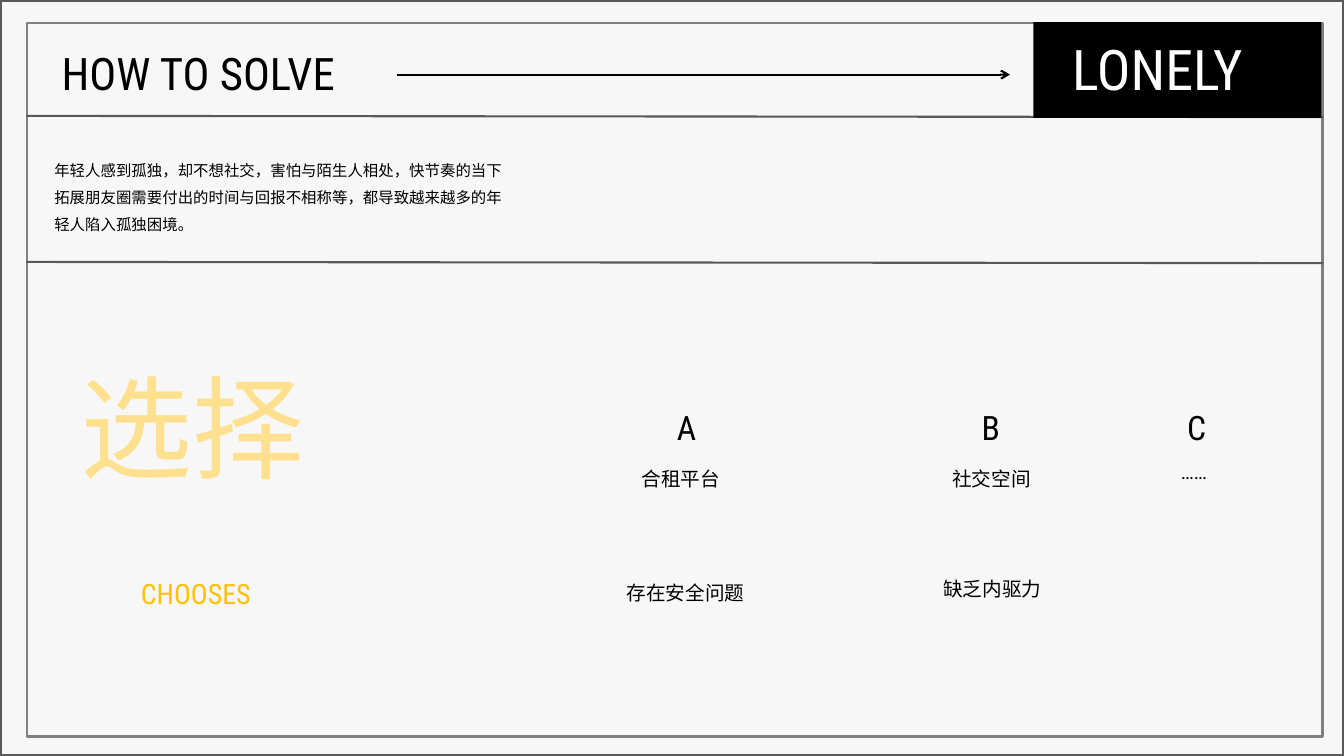
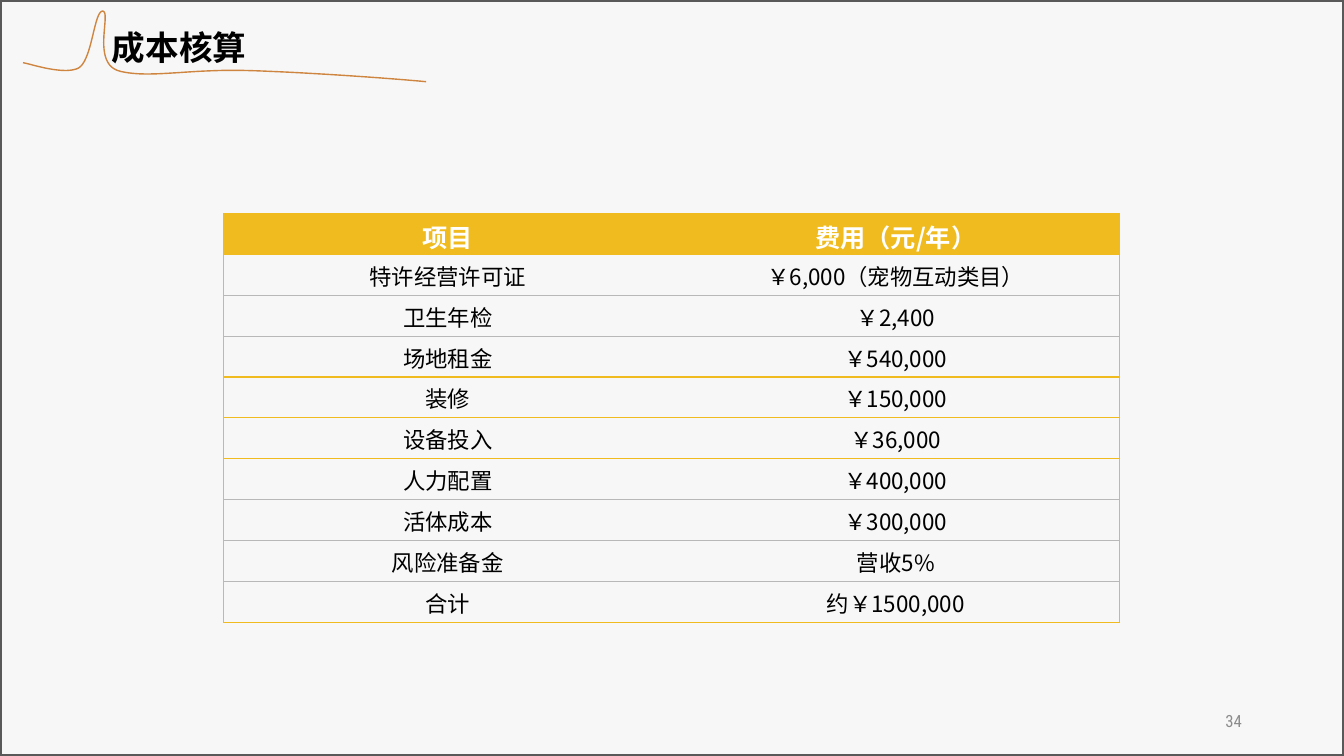
from dataclasses import dataclass

from lxml.etree import SubElement
from pptx import Presentation
from pptx.dml.color import RGBColor
from pptx.enum.shapes import MSO_CONNECTOR, MSO_SHAPE
from pptx.enum.text import MSO_ANCHOR, PP_ALIGN
from pptx.oxml.ns import qn
from pptx.util import Cm, Pt


@dataclass(frozen=True)
class Theme:
    # Colours
    paper: str = "F7F7F7"
    ink: str = "000000"
    white: str = "FFFFFF"
    edge: str = "595959"
    frame: str = "808080"
    grid: str = "B8B8B8"
    muted: str = "8C8C8C"
    accent: str = "FFC000"
    pale_accent: str = "FFE08F"
    gold: str = "EFBB1F"
    curve: str = "CE8540"
    # Fonts
    display: str = "Roboto Condensed"
    body: str = "Roboto"
    chinese: str = "Noto Sans CJK SC"
    # Type sizes
    giant: int = 80
    badge: int = 40
    banner: int = 32
    heading: int = 24
    label: int = 20
    table_head: int = 18
    table_body: int = 16
    option: int = 14
    page: int = 12
    note: int = 11


THEME = Theme()


@dataclass(frozen=True)
class Box:
    """A region in centimetres; inner boxes are placed relative to it."""
    left: float
    top: float
    width: float
    height: float

    def inner(self, left, top, width, height):
        return Box(self.left + left, self.top + top, width, height)

    def lengths(self):
        return Cm(self.left), Cm(self.top), Cm(self.width), Cm(self.height)


PAGE = Box(0, 0, 33.87, 19.05)


def rgb(color):
    return RGBColor.from_string(color)


def write(frame, text, *, size, font=THEME.display, color=THEME.ink,
          bold=False, align=PP_ALIGN.LEFT, spacing=None):
    """Put one formatted paragraph into a text frame."""
    paragraph = frame.paragraphs[0]
    paragraph.alignment = align
    if spacing:
        paragraph.line_spacing = spacing
    run = paragraph.add_run()
    run.text = text
    run.font.name = font
    run.font.size = Pt(size)
    run.font.bold = bold
    run.font.color.rgb = rgb(color)
    SubElement(run.font._element, qn("a:ea"), typeface=THEME.chinese)


def add_text(slide, box, text, anchor=MSO_ANCHOR.TOP, **style):
    frame = slide.shapes.add_textbox(*box.lengths()).text_frame
    frame.word_wrap = True
    frame.vertical_anchor = anchor
    write(frame, text, **style)


def add_rect(slide, box, fill=None, line=None, weight=1.5):
    rect = slide.shapes.add_shape(MSO_SHAPE.RECTANGLE, *box.lengths())
    rect.shadow.inherit = False
    if fill:
        rect.fill.solid()
        rect.fill.fore_color.rgb = rgb(fill)
    else:
        rect.fill.background()
    if line:
        rect.line.color.rgb = rgb(line)
        rect.line.width = Pt(weight)
    else:
        rect.line.fill.background()


def add_line(slide, start, end, color, arrow=False):
    line = slide.shapes.add_connector(
        MSO_CONNECTOR.STRAIGHT, *(Cm(value) for value in (*start, *end)))
    line.line.color.rgb = rgb(color)
    line.line.width = Pt(1.5)
    if arrow:
        SubElement(line.line._get_or_add_ln(), qn("a:tailEnd"), type="arrow")
    SubElement(line._element.spPr, qn("a:effectLst"))


def new_slide(deck):
    """Blank slide with the shared paper colour and outer edge."""
    slide = deck.slides.add_slide(deck.slide_layouts[6])
    slide.background.fill.solid()
    slide.background.fill.fore_color.rgb = rgb(THEME.paper)
    add_rect(slide, PAGE, line=THEME.edge, weight=2.25)
    return slide


# ---- Choices slide ----

def add_header(slide, box):
    add_text(slide, box.inner(-0.69, 0.44, 10, 1.63), "HOW TO SOLVE",
             size=THEME.banner, align=PP_ALIGN.CENTER)
    arrow_y = box.top + 1.3
    add_line(slide, (box.left + 9.32, arrow_y), (box.left + 24.76, arrow_y),
             THEME.ink, arrow=True)
    badge = box.inner(25.35, -0.02, 7.26, 2.41)
    add_rect(slide, badge, fill=THEME.ink)
    add_text(slide, badge.inner(0.73, 0.18, 6.38, 1.73), "LONELY",
             size=THEME.badge, color=THEME.white)


def add_divider(slide, box, offset):
    y = box.top + offset
    add_line(slide, (box.left - 0.03, y),
             (box.left + box.width + 0.02, y + 0.03), THEME.edge)


def add_choices_label(slide, box):
    add_text(slide, box.inner(0, 0, 8, 4), "选择", size=THEME.giant,
             font=THEME.body, color=THEME.pale_accent)
    add_text(slide, box.inner(1.53, 5.5, 3.38, 0.94), "CHOOSES",
             size=THEME.label, color=THEME.accent)


def add_option(slide, box, letter, name, name_at, drawback="",
               drawback_at=(0, 0)):
    """Letter at the box's corner; name and drawback offset from it."""
    add_text(slide, box.inner(0, 0, 1.09, 1.04), letter, size=THEME.heading)
    for text, offset in ((name, name_at), (drawback, drawback_at)):
        if text:
            add_text(slide, box.inner(*offset, 3.7, 1.22), text,
                     size=THEME.option, font=THEME.body, spacing=1.45)


def build_choices_slide(deck):
    slide = new_slide(deck)
    frame = Box(0.69, 0.58, 32.64, 17.98)
    add_rect(slide, frame, line=THEME.frame)
    for offset in (2.34, 6.02):
        add_divider(slide, frame, offset)
    add_header(slide, frame)
    add_text(
        slide, frame.inner(0.43, 3.15, 11.89, 2.62),
        "年轻人感到孤独，却不想社交，害怕与陌生人相处，快节奏的当下"
        "拓展朋友圈需要付出的时间与回报不相称等，都导致越来越多的年轻人陷入孤独困境。",
        size=THEME.note, font=THEME.body, spacing=1.45)
    add_choices_label(slide, frame.inner(1.08, 8.32, 8, 7))
    options = (
        (16.12, "A", "合租平台", (-0.89, 1.25), "存在安全问题", (-1.27, 4.12)),
        (23.8, "B", "社交空间", (-0.74, 1.25), "缺乏内驱力", (-0.97, 4.02)),
        (28.98, "C", "……", (-0.16, 1.07)),
    )
    for left, *content in options:
        add_option(slide, frame.inner(left, 9.55, 4, 6), *content)


# ---- Cost slide ----

def add_title_curve(slide, box):
    """Open flourish drawn from cubic curves, sampled into short segments."""
    start = (0, 1.3)
    curves = (
        ((0.25, 1.35), (0.99, 1.6), (1.37, 1.45)),
        ((1.75, 1.3), (1.78, 0), (2.01, 0)),
        ((2.24, 0.03), (1.7, 1.35), (2.46, 1.52)),
        ((3.23, 1.7), (4.19, 1.45), (5.72, 1.5)),
        ((7.26, 1.55), (9.32, 1.7), (10.16, 1.78)),
    )
    steps = 24
    points = [start]
    for bend_out, bend_in, end in curves:
        origin = points[-1]
        for step in range(1, steps + 1):
            t = step / steps
            u = 1 - t
            points.append(tuple(
                u**3 * a + 3 * u * u * t * b + 3 * u * t * t * c + t**3 * d
                for a, b, c, d in zip(origin, bend_out, bend_in, end)))
    points = [(Cm(box.left + x), Cm(box.top + y)) for x, y in points]
    builder = slide.shapes.build_freeform(*points[0])
    builder.add_line_segments(points[1:], close=False)
    curve = builder.convert_to_shape()
    curve.shadow.inherit = False
    curve.fill.background()
    curve.line.color.rgb = rgb(THEME.curve)
    curve.line.width = Pt(1)


def set_borders(cell, **colors):
    """Set cell borders, given as lnL, lnR, lnT and lnB in that order."""
    properties = cell._tc.get_or_add_tcPr()
    for position, (side, color) in enumerate(colors.items()):
        width = Pt(1) if color == THEME.gold else Pt(0.75)
        border = properties.makeelement(qn(f"a:{side}"), {"w": str(width)})
        if color:
            fill = SubElement(border, qn("a:solidFill"))
            SubElement(fill, qn("a:srgbClr"), val=color)
        else:
            SubElement(border, qn("a:noFill"))
        properties.insert(position, border)


def add_cost_table(slide, box):
    costs = (
        ("项目", "费用（元/年）"),
        ("特许经营许可证", "￥6,000（宠物互动类目）"),
        ("卫生年检", "￥2,400"),
        ("场地租金", "￥540,000"),
        ("装修", "￥150,000"),
        ("设备投入", "￥36,000"),
        ("人力配置", "￥400,000"),
        ("活体成本", "￥300,000"),
        ("风险准备金", "营收5%"),
        ("合计", "约￥1500,000"),
    )
    gold_rules = {0, 3, 4, 5, len(costs) - 1}
    rule_colors = [THEME.gold if index in gold_rules else THEME.grid
                   for index in range(len(costs))]
    table = slide.shapes.add_table(len(costs), 2, *box.lengths()).table
    for index, entry in enumerate(costs):
        is_head = index == 0
        for column, text in enumerate(entry):
            cell = table.cell(index, column)
            if is_head:
                cell.fill.solid()
                cell.fill.fore_color.rgb = rgb(THEME.gold)
            else:
                cell.fill.background()
            write(cell.text_frame, text, font=THEME.chinese, bold=is_head,
                  size=THEME.table_head if is_head else THEME.table_body,
                  color=THEME.white if is_head else THEME.ink,
                  align=PP_ALIGN.CENTER)
            outer_right = THEME.gold if is_head else THEME.grid
            set_borders(cell,
                        lnL=None if column else THEME.gold,
                        lnR=outer_right if column else None,
                        lnT=THEME.gold if is_head else rule_colors[index - 1],
                        lnB=rule_colors[index])


def build_cost_slide(deck):
    slide = new_slide(deck)
    title = Box(0.58, 0.28, 10.16, 1.78)
    add_text(slide, title.inner(1.99, 0.28, 8.15, 1.22), "成本核算",
             size=THEME.heading, bold=True, align=PP_ALIGN.JUSTIFY)
    add_title_curve(slide, title)
    add_cost_table(slide, Box(5.64, 5.38, 22.58, 10.3))
    add_text(slide, Box(30.43, 17.65, 1.12, 1.02), "34", size=THEME.page,
             color=THEME.muted, align=PP_ALIGN.RIGHT,
             anchor=MSO_ANCHOR.MIDDLE)


def main():
    deck = Presentation()
    deck.slide_width, deck.slide_height = Cm(PAGE.width), Cm(PAGE.height)
    build_choices_slide(deck)
    build_cost_slide(deck)
    deck.save("out.pptx")


if __name__ == "__main__":
    main()
